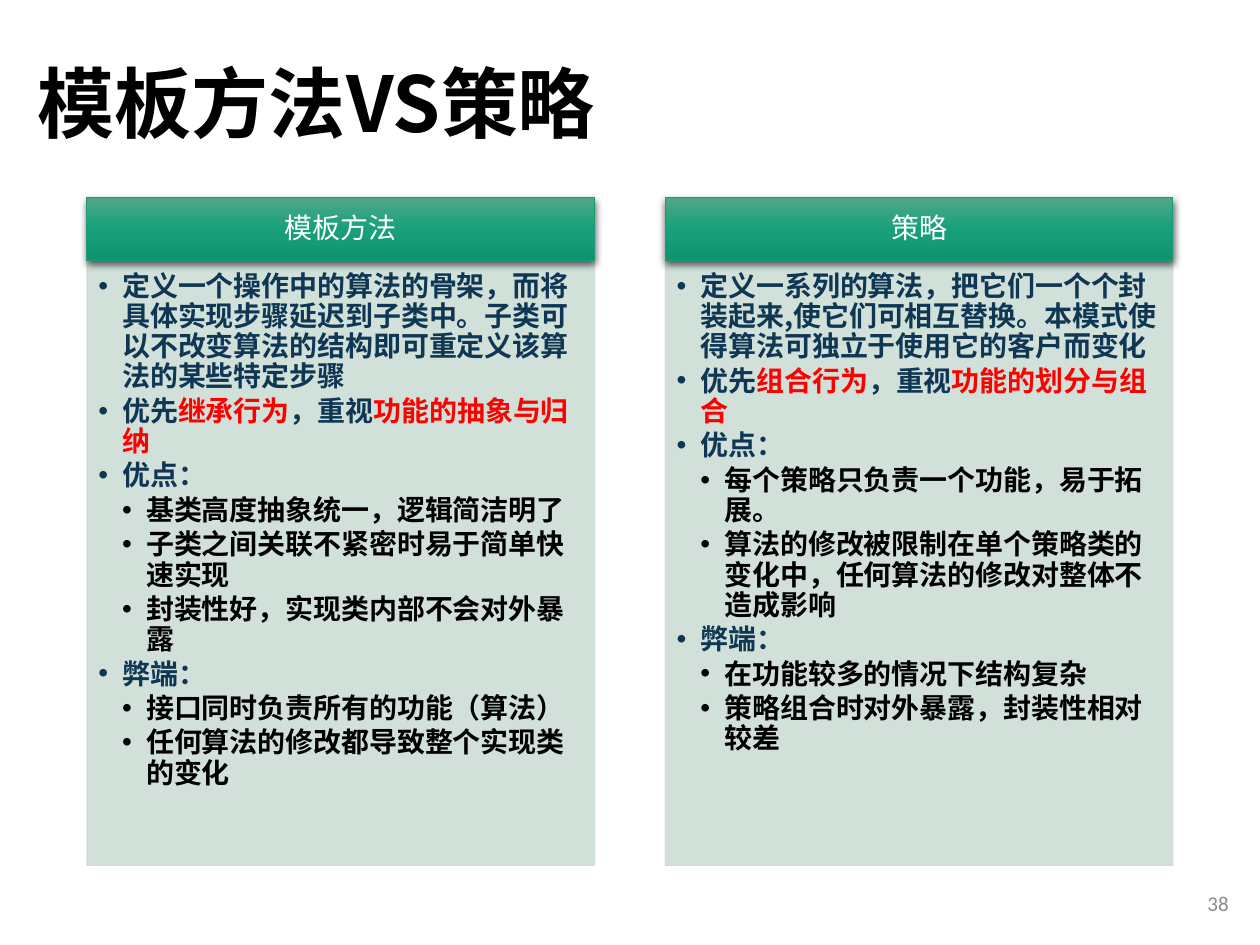
from dataclasses import dataclass

from lxml import etree
from pptx import Presentation
from pptx.dml.color import RGBColor
from pptx.enum.shapes import MSO_SHAPE
from pptx.enum.text import MSO_ANCHOR, PP_ALIGN
from pptx.oxml import parse_xml
from pptx.oxml.ns import nsdecls, qn
from pptx.util import Inches, Pt

RECTANGLE = MSO_SHAPE.RECTANGLE
TOP, MIDDLE = MSO_ANCHOR.TOP, MSO_ANCHOR.MIDDLE
LEFT, CENTER, RIGHT = PP_ALIGN.LEFT, PP_ALIGN.CENTER, PP_ALIGN.RIGHT


@dataclass(frozen=True)
class Theme:
    """Fonts, colours and type sizes of the slide."""
    font: str = "Noto Sans CJK SC"
    number_font: str = "Calibri"
    title: str = "000000"
    number: str = "8C8C8C"
    header_text: str = "FFFFFF"
    header_line: str = "1D9A78"
    header_stops: tuple = ((0, "4EA788"), (50, "17A07B"), (100, "0F9470"))
    panel: str = "CDDED6"
    point: str = "0F3754"
    detail: str = "000000"
    emphasis: str = "FF0000"
    title_size: int = 44
    body_size: int = 16
    number_size: int = 12


THEME = Theme()
LINE_SPACING = 0.9
INDENT = 0.19

COLUMNS = [
    ("模板方法", [
        (1, ["定义一个操作中的算法的骨架，而将具体实现步骤延迟到子类中。子类可以不改变算法的结构即可重定义该算法的某些特定步骤"]),
        (1, ["优先", "继承行为", "，重视", "功能的抽象与归纳"]),
        (1, ["优点："]),
        (2, ["基类高度抽象统一，逻辑简洁明了"]),
        (2, ["子类之间关联不紧密时易于简单快速实现"]),
        (2, ["封装性好，实现类内部不会对外暴露"]),
        (1, ["弊端："]),
        (2, ["接口同时负责所有的功能（算法）"]),
        (2, ["任何算法的修改都导致整个实现类的变化"]),
    ]),
    ("策略", [
        (1, ["定义一系列的算法，把它们一个个封装起来,使它们可相互替换。本模式使得算法可独立于使用它的客户而变化"]),
        (1, ["优先", "组合行为", "，重视", "功能的划分与组合"]),
        (1, ["优点："]),
        (2, ["每个策略只负责一个功能，易于拓展。"]),
        (2, ["算法的修改被限制在单个策略类的变化中，任何算法的修改对整体不造成影响"]),
        (1, ["弊端："]),
        (2, ["在功能较多的情况下结构复杂"]),
        (2, ["策略组合时对外暴露，封装性相对较差"]),
    ]),
]


def set_values(target, values):
    """Set every attribute named in a dict of format values."""
    for name, value in values.items():
        setattr(target, name, value)


def add_run(paragraph, text, size, color, bold=False, font=THEME.font):
    """Add a run with its Latin and East Asian typeface."""
    run = paragraph.add_run()
    run.text = text
    set_values(run.font, {"size": Pt(size), "bold": bold, "name": font})
    run.font.color.rgb = RGBColor.from_string(color)
    east_asian = etree.SubElement(run.font._element, qn("a:ea"))
    east_asian.set("typeface", font)


def set_frame(shape, anchor, margins):
    """Wrap and anchor the text of a shape and set its margins in inches."""
    sides = ("margin_left", "margin_top", "margin_right", "margin_bottom")
    values = {side: Inches(margin) for side, margin in zip(sides, margins)}
    set_values(shape.text_frame, {"word_wrap": True, "vertical_anchor": anchor, **values})
    return shape.text_frame


def add_rectangle(slide, box, line_color):
    """Add a rectangle without shadow, outlined in the given colour."""
    shape = slide.shapes.add_shape(RECTANGLE, *map(Inches, box))
    shape.shadow.inherit = False
    shape.line.color.rgb = RGBColor.from_string(line_color)
    shape.line.width = Pt(0.5)
    return shape


def add_title(slide, box, text):
    """Place the title placeholder in its box."""
    title = slide.shapes.title
    set_values(title, dict(zip(("left", "top", "width", "height"), map(Inches, box))))
    paragraph = set_frame(title, MIDDLE, (0.1, 0.05, 0.1, 0.05)).paragraphs[0]
    set_values(paragraph, {"alignment": LEFT, "line_spacing": LINE_SPACING})
    add_run(paragraph, text, THEME.title_size, THEME.title, True)


def add_header(slide, box, text):
    """Draw a column header with a gradient and a soft shadow."""
    shape = add_rectangle(slide, box, THEME.header_line)
    stops = "".join(
        f'<a:gs pos="{position * 1000}"><a:srgbClr val="{color}"/></a:gs>'
        for position, color in THEME.header_stops)
    gradient = parse_xml(
        f'<a:gradFill {nsdecls("a")} rotWithShape="1"><a:gsLst>{stops}</a:gsLst>'
        '<a:lin ang="5400000" scaled="0"/></a:gradFill>')
    properties = shape._element.spPr
    properties.find(qn("a:prstGeom")).addnext(gradient)
    properties.find(qn("a:effectLst")).append(parse_xml(
        f'<a:outerShdw {nsdecls("a")} blurRad="{Pt(4.5)}" dist="{Pt(1.5)}" dir="5400000"'
        ' algn="ctr" rotWithShape="0"><a:srgbClr val="000000">'
        '<a:alpha val="63000"/></a:srgbClr></a:outerShdw>'))
    paragraph = set_frame(shape, MIDDLE, (0.12, 0.07, 0.12, 0.07)).paragraphs[0]
    set_values(paragraph, {"alignment": CENTER, "line_spacing": LINE_SPACING})
    add_run(paragraph, text, THEME.body_size, THEME.header_text)


def add_panel(slide, box, items):
    """Draw a translucent panel with a two-level bulleted list."""
    shape = add_rectangle(slide, box, THEME.panel)
    shape.fill.solid()
    shape.fill.fore_color.rgb = RGBColor.from_string(THEME.panel)
    for color in shape._element.spPr.iter(qn("a:srgbClr")):
        etree.SubElement(color, qn("a:alpha")).set("val", "90000")
    frame = set_frame(shape, TOP, (0.09, 0.09, 0.12, 0.14))
    for index, (level, parts) in enumerate(items):
        paragraph = frame.add_paragraph() if index else frame.paragraphs[0]
        set_values(paragraph, {
            "level": level, "alignment": LEFT, "line_spacing": LINE_SPACING,
            "space_after": Pt(0.15 * THEME.body_size)})
        properties = paragraph._p.get_or_add_pPr()
        properties.set("marL", str(Inches(INDENT * level)))
        properties.set("indent", str(Inches(-INDENT)))
        etree.SubElement(properties, qn("a:buFont")).set("typeface", "Arial")
        etree.SubElement(properties, qn("a:buChar")).set("char", "•")
        base = THEME.point if level == 1 else THEME.detail
        for position, text in enumerate(parts):
            color = THEME.emphasis if position % 2 else base
            add_run(paragraph, text, THEME.body_size, color, True)


def add_column(slide, box, heading, items):
    """Stack a header and its panel in the given box."""
    left, top, width, height = box
    header_height = 0.5
    add_panel(slide, (left, top + header_height, width, height - header_height), items)
    add_header(slide, (left, top, width, header_height), heading)


def add_page_number(slide, box, text):
    """Write the page number at the right of its box."""
    shape = slide.shapes.add_textbox(*map(Inches, box))
    paragraph = set_frame(shape, MIDDLE, (0.1, 0.05, 0.1, 0.05)).paragraphs[0]
    paragraph.alignment = RIGHT
    add_run(paragraph, text, THEME.number_size, THEME.number, font=THEME.number_font)


def main():
    """Build the comparison slide and save it."""
    presentation = Presentation()
    set_values(presentation, {"slide_width": Inches(10), "slide_height": Inches(7.5)})
    slide = presentation.slides.add_slide(presentation.slide_layouts[5])
    add_title(slide, (0.2, 0.13, 8.62, 1.45), "模板方法VS策略")
    for index, (heading, items) in enumerate(COLUMNS):
        add_column(slide, (0.69 + 4.59 * index, 1.57, 4.03, 5.3), heading, items)
    add_page_number(slide, (7.6, 6.97, 2.25, 0.4), "38")
    presentation.save("out.pptx")


if __name__ == "__main__":
    main()
